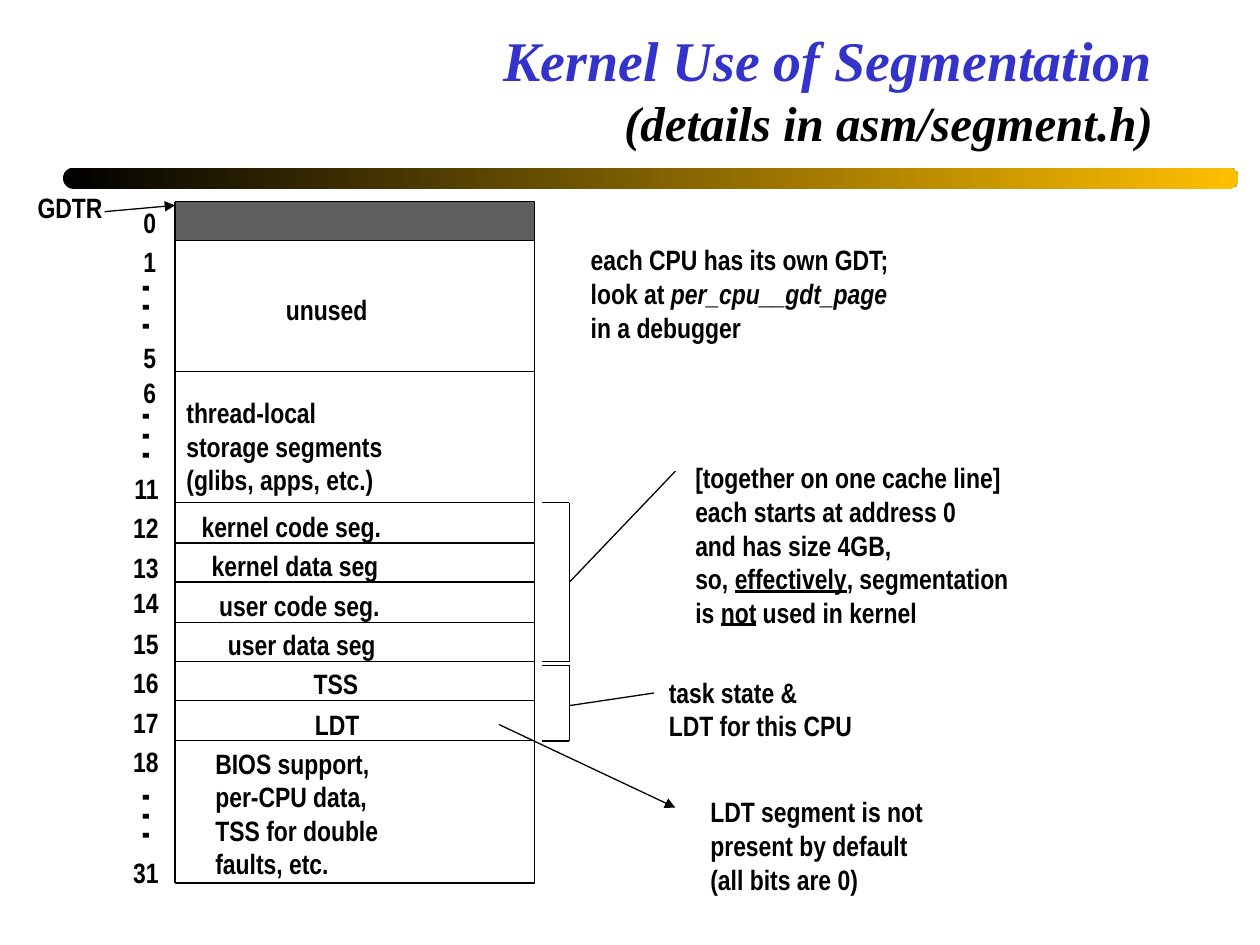
from dataclasses import dataclass

from lxml import etree
from pptx import Presentation
from pptx.dml.color import RGBColor as RGB
from pptx.enum.shapes import MSO_CONNECTOR as Connector, MSO_SHAPE as Shape
from pptx.enum.text import MSO_ANCHOR as Anchor, MSO_AUTO_SIZE as AutoSize, PP_ALIGN as Align
from pptx.oxml.ns import qn
from pptx.util import Inches, Pt


@dataclass(frozen=True)
class Theme:
    title_font: str = "Times New Roman"
    body_font: str = "Arial Narrow"
    title: RGB = RGB(0x33, 0x33, 0xCC)
    ink: RGB = RGB(0, 0, 0)
    gold: RGB = RGB(0xFF, 0xBF, 0)
    null_entry: RGB = RGB(0x5F, 0x5F, 0x5F)
    pale: RGB = RGB(0xFF, 0xFF, 0xCC)
    title_size: Pt = Pt(32)
    subtitle_size: Pt = Pt(28)
    body_size: Pt = Pt(16)
    dots_size: Pt = Pt(24)
    line_width: Pt = Pt(0.75)


theme = Theme()
presentation = Presentation()
presentation.slide_width, presentation.slide_height = Inches(10), Inches(7.5)
slide = presentation.slides.add_slide(presentation.slide_layouts[5])


def add_text(box, lines, inset=True, size=theme.body_size, align=Align.LEFT, anchor=Anchor.TOP):
    """Each line is a string or a list of (text, font attribute or None) runs."""
    shape = slide.shapes.add_textbox(*map(Inches, box))
    frame = shape.text_frame
    frame.word_wrap = False
    frame.auto_size = AutoSize.SHAPE_TO_FIT_TEXT
    frame.vertical_anchor = anchor
    frame.margin_left = frame.margin_right = Inches(0.1 if inset else 0)
    frame.margin_top = frame.margin_bottom = Inches(0.05 if inset else 0)
    for index, line in enumerate(lines):
        paragraph = frame.add_paragraph() if index else frame.paragraphs[0]
        paragraph.alignment = align
        font = paragraph.font
        font.name, font.size, font.bold = theme.body_font, size, True
        font.color.rgb = theme.ink
        for text, emphasis in [(line, None)] if isinstance(line, str) else line:
            run = paragraph.add_run()
            run.text = text
            if emphasis:
                setattr(run.font, emphasis, True)
    return shape


def add_line(start, end, arrow=False):
    line = slide.shapes.add_connector(Connector.STRAIGHT, *map(Inches, (*start, *end)))
    line.line.color.rgb = theme.ink
    line.line.width = theme.line_width
    if arrow:
        etree.SubElement(line.line._get_or_add_ln(), qn("a:tailEnd"), type="triangle")
    etree.SubElement(line._element.spPr, qn("a:effectLst"))


# Title
title = slide.shapes.title
title.left, title.top, title.width, title.height = map(Inches, (0.75, 0.25, 8.5, 1))
title.text_frame.vertical_anchor = Anchor.BOTTOM
title.text_frame.auto_size = AutoSize.NONE
paragraph = title.text_frame.paragraphs[0]
paragraph.alignment = Align.RIGHT
font = paragraph.font
font.name, font.bold, font.italic = theme.title_font, True, True
heading = paragraph.add_run()
heading.text = "Kernel Use of Segmentation"
heading.font.size, heading.font.color.rgb = theme.title_size, theme.title
paragraph.add_line_break()
detail = paragraph.add_run()
detail.text = "(details in asm/segment.h)"
detail.font.size, detail.font.color.rgb = theme.subtitle_size, theme.ink

# Gradient rule under the title
rule = slide.shapes.add_shape(Shape.ROUNDED_RECTANGLE, *map(Inches, (0.5, 1.33, 9.33, 0.17)))
rule.adjustments[0] = 0.5
rule.shadow.inherit = False
rule.line.fill.background()
rule.fill.gradient()
rule.fill.gradient_angle = 0
for stop, position, color in zip(rule.fill.gradient_stops, (0, 1), (theme.ink, theme.gold)):
    stop.position, stop.color.rgb = position, color

# Descriptor table: bottom edge of each block, pale outlines lie under black ones
table_left, table_width, table_top = 1.39, 2.85, 1.6
bottoms = [1.91, 2.95, 3.99, 4.31, 4.62, 4.94, 5.25, 5.56, 5.88, 7.01]
tops = [table_top] + bottoms[:-1]
pale_rows = [1, 5, 7]
for row in sorted(range(len(tops)), key=lambda row: row not in pale_rows):
    block = slide.shapes.add_shape(
        Shape.RECTANGLE, Inches(table_left), Inches(tops[row]),
        Inches(table_width), Inches(bottoms[row] - tops[row]))
    block.shadow.inherit = False
    block.line.width = theme.line_width
    block.line.color.rgb = theme.pale if row in pale_rows else theme.ink
    if row == 0:
        block.fill.solid()
        block.fill.fore_color.rgb = theme.null_entry
    else:
        block.fill.background()
for x in (table_left, table_left + table_width):
    add_line((x, table_top), (x, bottoms[-1]))

# Block contents
for box, lines in [
    ((2.27, 2.32, 0.8, 0.27), ["unused"]),
    ((1.48, 3.14, 1.8, 0.8), ["thread-local", "storage segments", "(glibs, apps, etc.)"]),
    ((1.6, 4.04, 1.6, 0.27), ["kernel code seg."]),
    ((1.68, 4.35, 1.6, 0.27), ["kernel data seg"]),
    ((1.74, 4.67, 1.6, 0.27), ["user code seg."]),
    ((1.81, 4.98, 1.6, 0.27), ["user data seg"]),
    ((2.49, 5.29, 0.6, 0.27), ["TSS"]),
    ((2.5, 5.61, 0.6, 0.27), ["LDT"]),
    ((1.71, 5.92, 1.6, 1.07),
     ["BIOS support,", "per-CPU data,", "TSS for double", "faults, etc."]),
]:
    add_text(box, lines, inset=False, anchor=Anchor.MIDDLE)

# Entry numbers and the dots between them
number_width = 0.4
for number, top in {0: 1.63, 1: 1.94, 5: 2.7, 6: 2.98, 11: 3.74, 12: 4.05, 13: 4.37, 14: 4.65,
                    15: 4.97, 16: 5.28, 17: 5.6, 18: 5.91, 31: 6.79}.items():
    right = 1.24 if number < 10 else 1.26
    add_text((right - number_width, top, number_width, 0.27), [str(number)],
             inset=False, align=Align.RIGHT)
for top in (2.19, 3.21, 6.23):
    add_text((0.76, top, 0.58, 0.5), [". . ."], size=theme.dots_size).rotation = 270

# Brackets around the shared entries
bracket_left, bracket_right = 4.3, 4.52
for top, bottom in [(3.99, 5.25), (5.28, 5.88)]:
    for y in (top, bottom):
        add_line((bracket_left, y), (bracket_right, y))
    add_line((bracket_right, top), (bracket_right, bottom))

# Pointers
add_line((0.83, 1.68), (table_left, 1.63), arrow=True)
add_line((bracket_right, 4.62), (5.36, 3.74))
add_line((bracket_right, 5.6), (5.19, 5.5))
add_line((3.96, 5.75), (5.36, 6.41), arrow=True)

# Notes beside the table
for box, lines in [
    ((0.2, 1.46, 0.9, 0.37), ["GDTR"]),
    ((4.59, 1.88, 3, 0.9),
     ["each CPU has its own GDT;",
      [("look at ", None), ("per_cpu__gdt_page", "italic")],
      "in a debugger"]),
    ((5.42, 3.61, 3, 1.44),
     ["[together on one cache line]", "each starts at address 0", "and has size 4GB,",
      [("so, ", None), ("effectively", "underline"), (", segmentation", None)],
      [("is ", None), ("not", "underline"), (" used in kernel", None)]]),
    ((5.21, 5.31, 2, 0.64), ["task state &", "LDT for this CPU"]),
    ((5.54, 6.26, 2.2, 0.9),
     ["LDT segment is not", "present by default", "(all bits are 0)"]),
]:
    add_text(box, lines)

presentation.save("out.pptx")
